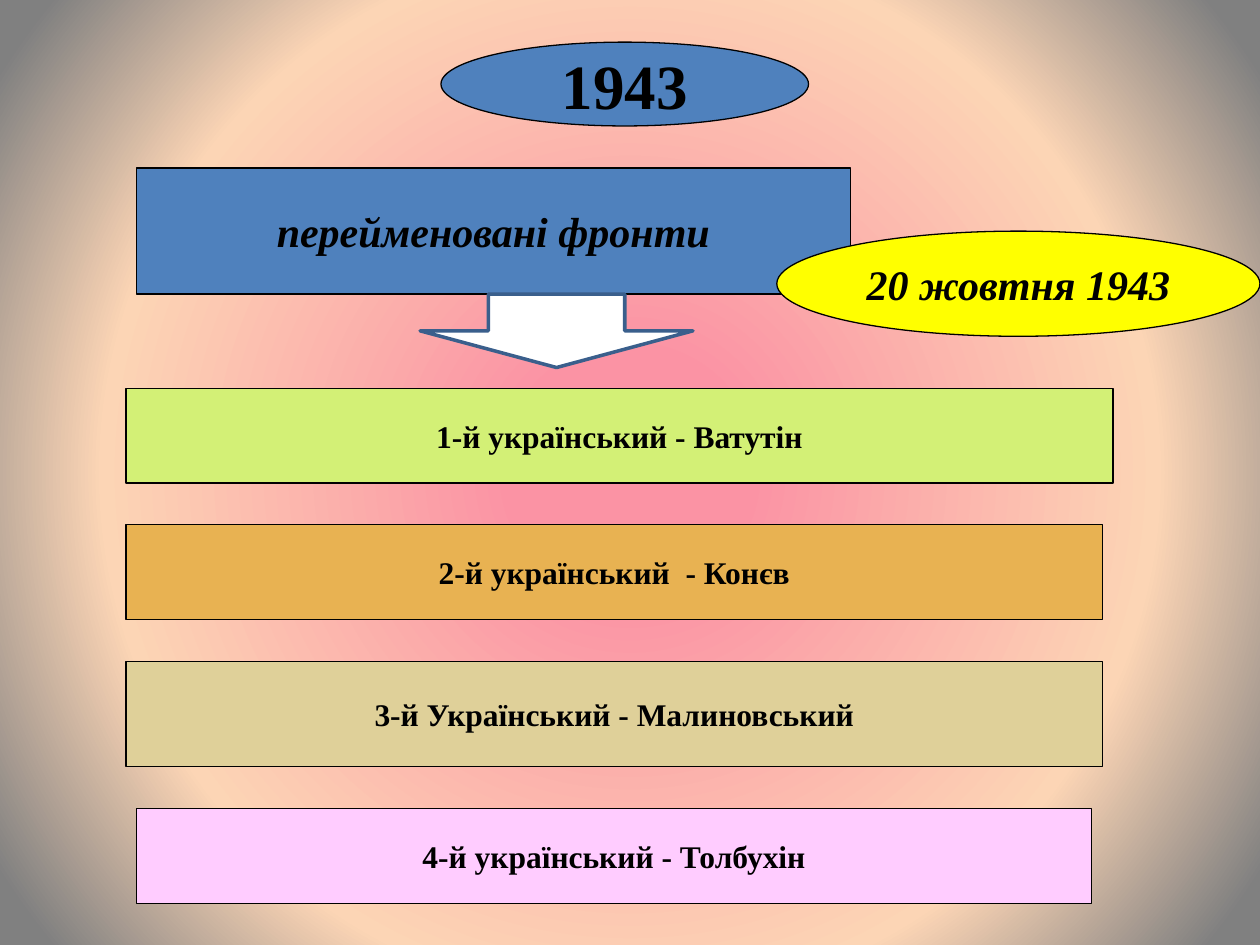
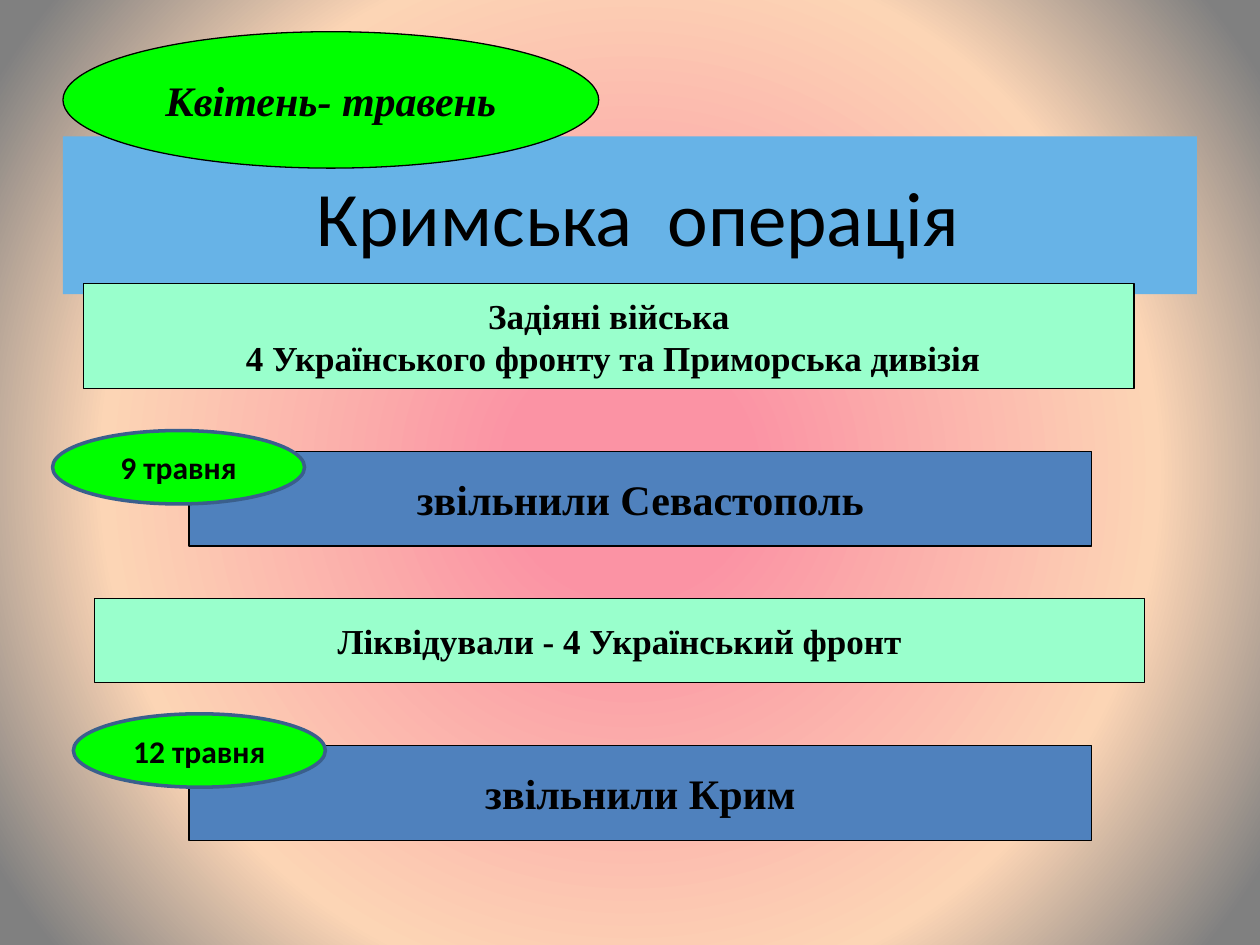
from dataclasses import dataclass

from pptx import Presentation
from pptx import util as u
from pptx.dml.color import RGBColor
from pptx.enum import shapes, text
from pptx.oxml import parse_xml
from pptx.oxml.ns import nsdecls

SERIF, SANS = "Times New Roman", "Calibri"
BLACK, WHITE, YELLOW, GREEN = "000000", "FFFFFF", "FFFF00", "00FF00"
BLUE, SKY, MINT, STEEL = "4F81BD", "67B3E7", "99FFCC", "3A5F8C"
# position in %, colour, opacity in %
GLOW = [(15, "FB93A4", 100), (67, "FCD5B5", 60), (95, "808080", 53)]

RECTANGLE = shapes.MSO_SHAPE.RECTANGLE
OVAL = shapes.MSO_SHAPE.OVAL
DOWN_ARROW = shapes.MSO_SHAPE.DOWN_ARROW


@dataclass(frozen=True)
class Style:
    fill: str
    size: int = 24
    italic: bool = False
    bold: bool = True
    font: str = SERIF
    line: str | None = BLACK
    line_width: float = 0.75
    wrap: bool = False
    kind: shapes.MSO_SHAPE = RECTANGLE


@dataclass(frozen=True)
class Block:
    """A shape with its place in centimetres."""
    left: float
    top: float
    width: float
    height: float
    style: Style
    words: str = ""


YEAR = Style(BLUE, 36, kind=OVAL)
TOPIC = Style(BLUE, italic=True)
FULL_DATE = Style(YELLOW, italic=True, kind=OVAL)
ARROW = Style(WHITE, line=STEEL, line_width=2, kind=DOWN_ARROW)
TITLE = Style(SKY, 44, bold=False, font=SANS, line=None, wrap=True)
PERIOD = Style(GREEN, italic=True, kind=OVAL)
DAY = Style(GREEN, 18, font=SANS, line=STEEL, line_width=2, wrap=True, kind=OVAL)
TROOPS = Style(MINT, 20)
RESULT = Style(BLUE)

RENAMED_FRONTS = [
    Block(8.89, 0.85, 7.41, 1.69, YEAR, "1943"),
    Block(2.75, 3.39, 14.39, 2.54, TOPIC, "перейменовані фронти"),
    Block(15.66, 4.66, 9.74, 2.12, FULL_DATE, "20 жовтня 1943"),
    Block(2.54, 7.83, 19.9, 1.91, Style("D3F076", 18), "1-й український - Ватутін"),
    Block(2.54, 10.58, 19.69, 1.91, Style("E8B252", 18), "2-й український  - Конєв"),
    Block(2.54, 13.34, 19.69, 2.12, Style("DFD099", 18), "3-й Український - Малиновський"),
    Block(2.75, 16.3, 19.26, 1.91, Style("FFCCFF", 18), "4-й український - Толбухін"),
    Block(8.47, 5.93, 5.5, 1.48, ARROW),
]

CRIMEAN_OPERATION = [
    Block(1.27, 2.75, 22.86, 3.18, TITLE, " Кримська  операція"),
    Block(1.69, 5.72, 21.17, 2.12, TROOPS,
          "Задіяні війська\n 4 Українського фронту та Приморська дивізія"),
    Block(1.27, 0.64, 10.8, 2.75, PERIOD, "Квітень- травень"),
    Block(3.81, 9.1, 18.2, 1.91, RESULT, "звільнили Севастополь"),
    Block(1.91, 12.07, 21.17, 1.69, TROOPS, "Ліквідували - 4 Український фронт"),
    Block(1.06, 8.68, 5.08, 1.48, DAY, "9 травня"),
    Block(3.81, 15.03, 18.2, 1.91, RESULT, "звільнили Крим"),
    Block(1.48, 14.39, 5.08, 1.48, DAY, "12 травня"),
]


def color(value: str) -> RGBColor:
    return RGBColor.from_string(value)


def paint_glow(page) -> None:
    """Fill the background with a round gradient that starts at the centre."""
    page.background.fill.gradient()
    plain = page.element.xpath("./p:cSld/p:bg/p:bgPr/a:gradFill")[0]
    stops = "".join(
        f'<a:gs pos="{place * 1000}"><a:srgbClr val="{value}">'
        f'<a:alpha val="{opacity * 1000}"/></a:srgbClr></a:gs>'
        for place, value, opacity in GLOW)
    glow = parse_xml(
        f'<a:gradFill {nsdecls("a")} rotWithShape="1"><a:gsLst>{stops}</a:gsLst>'
        '<a:path path="circle"><a:fillToRect l="50000" t="50000" r="50000" b="50000"/>'
        '</a:path></a:gradFill>')
    plain.getparent().replace(plain, glow)


def draw_block(page, block: Block) -> None:
    style = block.style
    place = map(u.Cm, (block.left, block.top, block.width, block.height))
    box = page.shapes.add_shape(style.kind, *place)
    box.shadow.inherit = False
    box.fill.solid()
    box.fill.fore_color.rgb = color(style.fill)
    if style.line:
        box.line.color.rgb = color(style.line)
        box.line.width = u.Pt(style.line_width)
    else:
        box.line.fill.background()
    if block.words:
        write(box.text_frame, block.words, style)


def write(frame, words: str, style: Style) -> None:
    frame.word_wrap = style.wrap
    frame.vertical_anchor = text.MSO_ANCHOR.MIDDLE
    frame.text = words
    for para in frame.paragraphs:
        para.alignment = text.PP_ALIGN.CENTER
        para.font.name = style.font
        para.font.size = u.Pt(style.size)
        para.font.bold = style.bold
        para.font.italic = style.italic
        para.font.color.rgb = color(BLACK)


def main() -> None:
    deck = Presentation()
    deck.slide_width, deck.slide_height = u.Cm(25.4), u.Cm(19.05)
    for blocks in (RENAMED_FRONTS, CRIMEAN_OPERATION):
        page = deck.slides.add_slide(deck.slide_layouts[6])
        paint_glow(page)
        for block in blocks:
            draw_block(page, block)
    deck.save("out.pptx")


if __name__ == "__main__":
    main()
